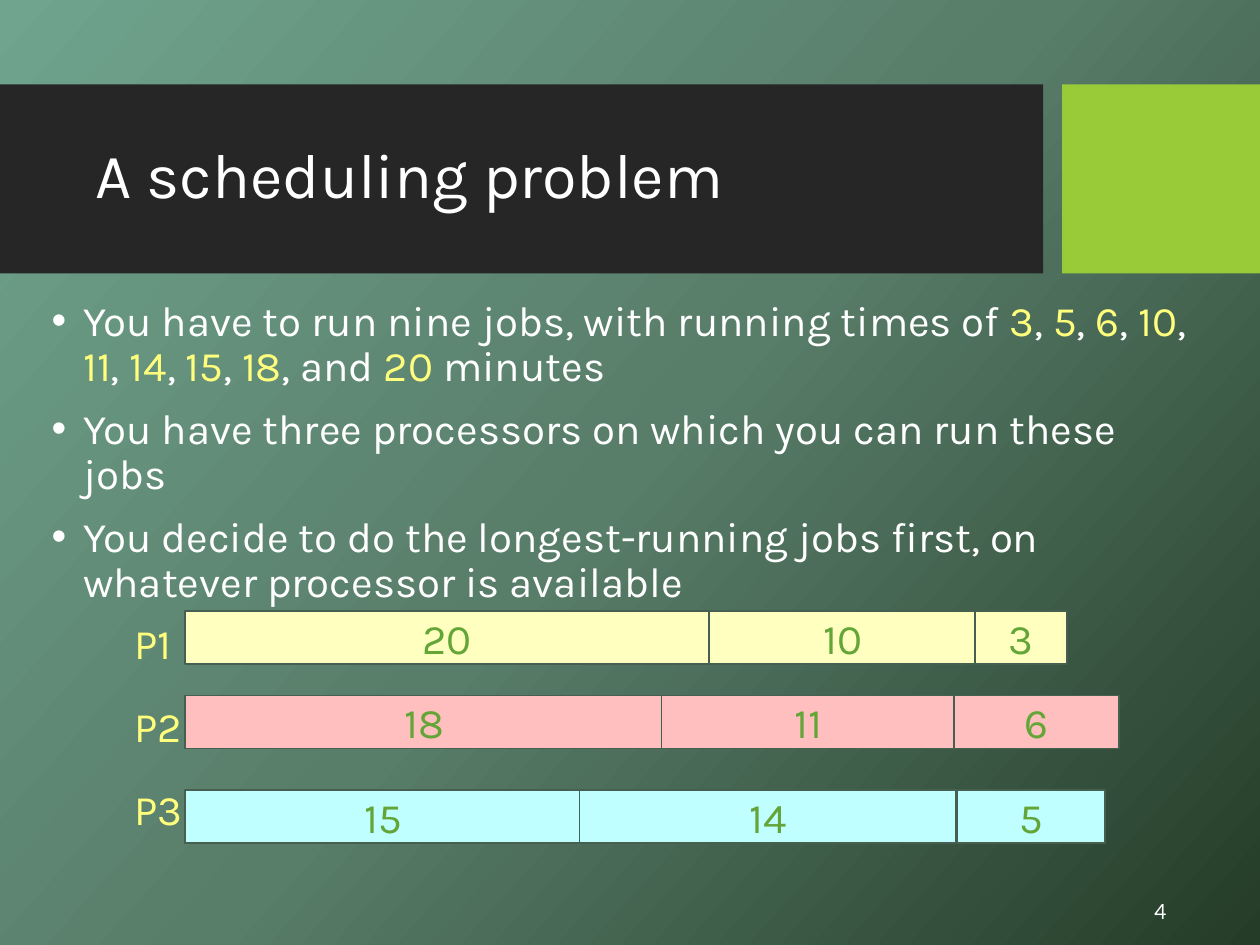
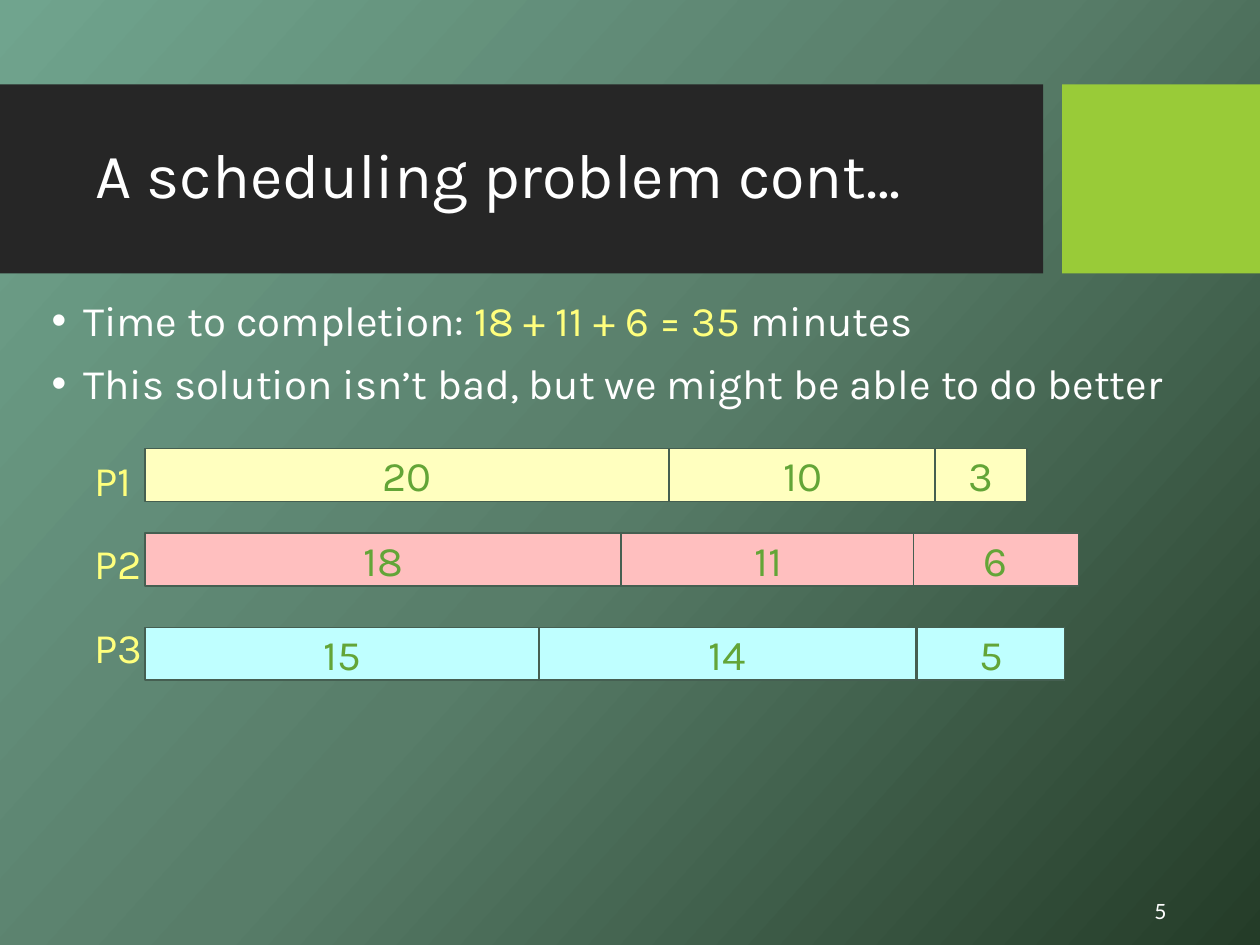
from copy import deepcopy

from lxml.etree import SubElement
from pptx import Presentation
from pptx.dml.color import RGBColor
from pptx.enum.shapes import MSO_SHAPE
from pptx.enum.text import MSO_ANCHOR, MSO_AUTO_SIZE, PP_ALIGN
from pptx.oxml.ns import qn
from pptx.util import Inches, Pt

COLORS = {
    "gradient": ["70A48E", "587D69", "243C28"],
    "band": "262626",
    "accent": "99CB38",
    "text": "FFFFFF",
    "highlight": "FFFF7D",
    "bar_line": "455F51",
    "bar_text": "63A537",
    "P1": "FFFFBF",
    "P2": "FFBFBF",
    "P3": "BFFFFF",
}
TEXT_FONT = "Karla"
NUMBER_FONT = "Lato"

BAND_TOP, BAND_HEIGHT = 0.67, 1.5
BAR_HEIGHT = 0.42
SCHEDULE_ROWS = {
    "P1": (0.08, [(20, 0.5, 4.16), (10, 4.66, 2.12), (3, 6.77, 0.73)]),
    "P2": (0.75, [(18, 0.5, 3.79), (11, 4.28, 2.34), (6, 6.6, 1.31)]),
    "P3": (1.5, [(15, 0.5, 3.14), (14, 3.63, 2.99), (5, 6.63, 1.17)]),
}

SLIDES = [
    {
        "number": 4,
        "title": "A scheduling problem",
        "bullets": [
            "You have to run nine jobs, with running times of "
            "|3|, |5|, |6|, |10|, |11|, |14|, |15|, |18|, and |20| minutes",
            "You have three processors on which you can run these jobs",
            "You decide to do the longest-running jobs first, "
            "on whatever processor is available",
        ],
        "body_height": 2.31,
        "schedule": (0.97, 4.77),
    },
    {
        "number": 5,
        "title": "A scheduling problem cont…",
        "bullets": [
            "Time to completion: |18 + 11 + 6 = 35 |minutes",
            "This solution isn’t bad, but we might be able to do better",
        ],
        "body_height": 1.18,
        "schedule": (0.65, 3.48),
    },
]


def rgb(name):
    return RGBColor.from_string(COLORS[name])


def format_font(font, size, color, name=TEXT_FONT):
    font.name = name
    font.size = Pt(size)
    font.color.rgb = rgb(color)


def place(shape, left, top, width, height):
    shape.left, shape.top = Inches(left), Inches(top)
    shape.width, shape.height = Inches(width), Inches(height)


def set_background(master):
    fill = master.background.fill
    fill.gradient()
    fill.gradient_angle = 360 - 42
    stop_list = master.element.find(".//" + qn("p:bg")).find(".//" + qn("a:gsLst"))
    stop_list.insert(1, deepcopy(stop_list[0]))
    for index, stop in enumerate(fill.gradient_stops):
        stop.position = index / 2
        stop.color.rgb = RGBColor.from_string(COLORS["gradient"][index])


def add_rectangle(slide, left, top, width, height, fill, line=None):
    shape = slide.shapes.add_shape(
        MSO_SHAPE.RECTANGLE, Inches(left), Inches(top), Inches(width), Inches(height)
    )
    shape.shadow.inherit = False
    shape.fill.solid()
    shape.fill.fore_color.rgb = rgb(fill)
    if line:
        shape.line.color.rgb = rgb(line)
        shape.line.width = Pt(1)
    else:
        shape.line.fill.background()
    return shape


def add_bands(slide):
    tree = slide.shapes.title.element.getparent()
    for position, (left, width, color) in enumerate(
        [(0, 8.28, "band"), (8.43, 1.57, "accent")], start=2
    ):
        band = add_rectangle(slide, left, BAND_TOP, width, BAND_HEIGHT, color)
        tree.insert(position, band.element)


def add_slide_number(slide, number):
    box = slide.shapes.add_textbox(Inches(8.67), Inches(7.08), Inches(1.08), Inches(0.3))
    box.text_frame.word_wrap = True
    paragraph = box.text_frame.paragraphs[0]
    paragraph.text = str(number)
    paragraph.alignment = PP_ALIGN.CENTER
    format_font(paragraph.runs[0].font, 12, "text", NUMBER_FONT)


def fill_title(slide, text):
    title = slide.shapes.title
    place(title, 0.66, 1, 8.52, 0.83)
    frame = title.text_frame
    frame.text = text
    frame.auto_size = MSO_AUTO_SIZE.NONE
    frame.vertical_anchor = MSO_ANCHOR.MIDDLE
    paragraph = frame.paragraphs[0]
    paragraph.alignment = PP_ALIGN.LEFT
    paragraph.line_spacing = 0.9
    format_font(paragraph.runs[0].font, 36, "text")


def set_bullet(paragraph):
    properties = paragraph._p.get_or_add_pPr()
    properties.set("marL", str(Inches(0.25)))
    properties.set("indent", str(-Inches(0.25)))
    SubElement(properties, qn("a:buFont"), typeface="Arial")
    SubElement(properties, qn("a:buChar"), char="•")


def fill_bullets(slide, bullets, height):
    body = slide.placeholders[1]
    place(body, 0.31, 2.33, 9.38, height)
    frame = body.text_frame
    frame.auto_size = MSO_AUTO_SIZE.NONE
    for index, bullet in enumerate(bullets):
        paragraph = frame.add_paragraph() if index else frame.paragraphs[0]
        set_bullet(paragraph)
        paragraph.line_spacing = 0.9
        paragraph.space_before = Pt(10 if index else 0)
        for part, text in enumerate(bullet.split("|")):
            run = paragraph.add_run()
            run.text = text
            format_font(run.font, 24, "highlight" if part % 2 else "text")


def add_job_bar(slide, minutes, left, top, width, color):
    bar = add_rectangle(slide, left, top, width, BAR_HEIGHT, color, "bar_line")
    frame = bar.text_frame
    frame.text = str(minutes)
    frame.word_wrap = False
    frame.margin_top = frame.margin_bottom = 0
    frame.vertical_anchor = MSO_ANCHOR.MIDDLE
    paragraph = frame.paragraphs[0]
    paragraph.alignment = PP_ALIGN.CENTER
    format_font(paragraph.runs[0].font, 24, "bar_text")


def add_processor_labels(slide, left, top):
    box = slide.shapes.add_textbox(Inches(left), Inches(top), Inches(0.66), Inches(1.93))
    frame = box.text_frame
    frame.word_wrap = True
    frame.text = "\n".join(SCHEDULE_ROWS)
    for index, paragraph in enumerate(frame.paragraphs):
        paragraph.line_spacing = 1.2
        paragraph.space_before = Pt(13 if index else 0)
        format_font(paragraph.runs[0].font, 24, "highlight")


def add_schedule(slide, left, top):
    for processor, (row_top, jobs) in SCHEDULE_ROWS.items():
        for minutes, start, width in jobs:
            add_job_bar(slide, minutes, left + start, top + row_top, width, processor)
    add_processor_labels(slide, left, top)


def add_scheduling_slide(presentation, content):
    slide = presentation.slides.add_slide(presentation.slide_layouts[1])
    add_bands(slide)
    add_slide_number(slide, content["number"])
    fill_title(slide, content["title"])
    fill_bullets(slide, content["bullets"], content["body_height"])
    add_schedule(slide, *content["schedule"])


def main():
    presentation = Presentation()
    presentation.slide_width = Inches(10)
    presentation.slide_height = Inches(7.5)
    set_background(presentation.slide_master)
    for content in SLIDES:
        add_scheduling_slide(presentation, content)
    presentation.save("out.pptx")


if __name__ == "__main__":
    main()
